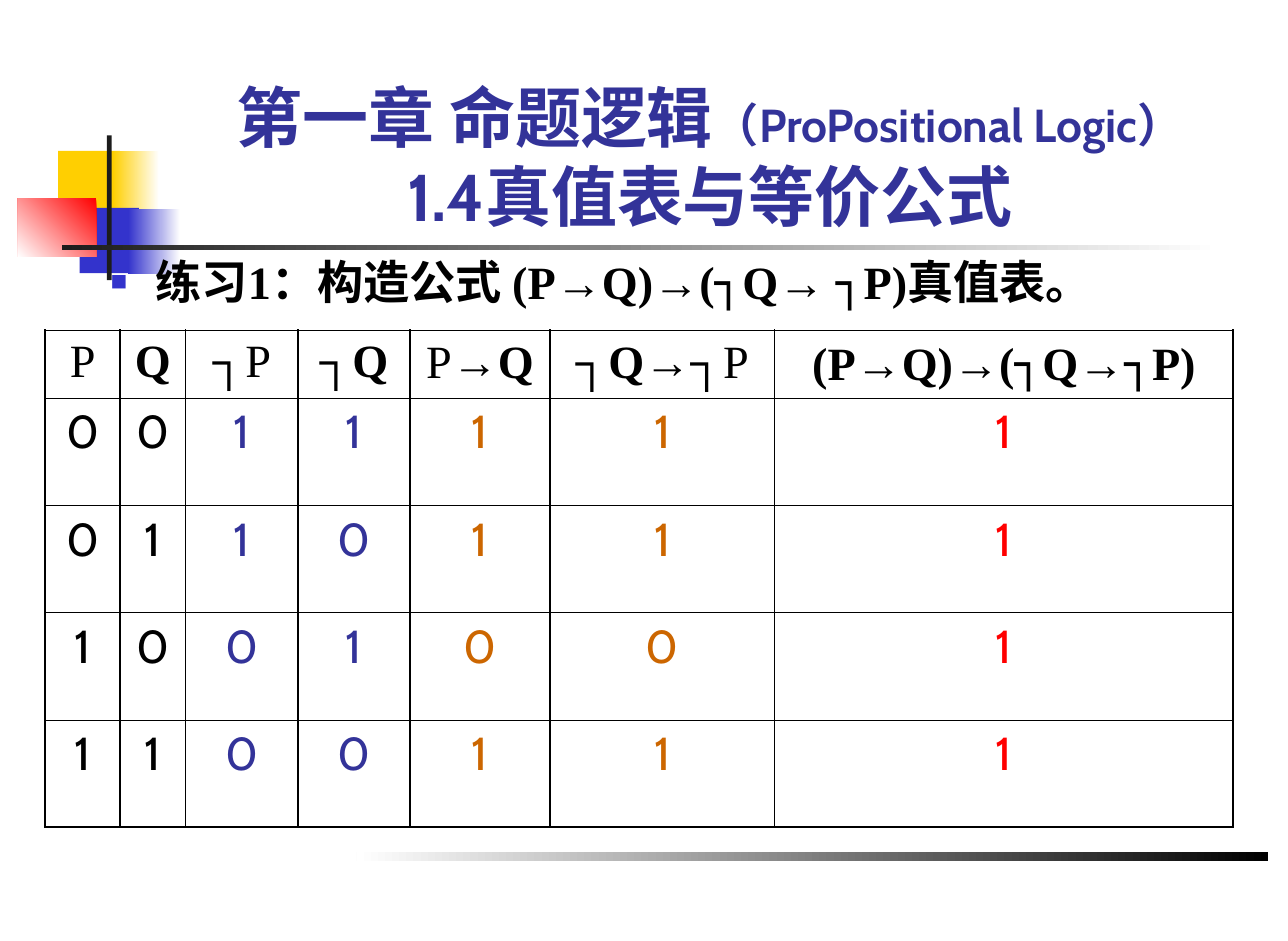
from itertools import groupby, product

from lxml import etree
from pptx import Presentation
from pptx import util as u
from pptx.dml.color import RGBColor
from pptx.enum import shapes, text
from pptx.oxml import ns

WIDTH, HEIGHT = u.Inches(10.84), u.Inches(7.92)
COLORS = {
    "white": "FFFFFF", "black": "000000", "ink": "1C1C1C", "yellow": "FFCF01",
    "blue": "3333CC", "red": "FF0000", "navy": "333399", "orange": "CC6600",
}
COLUMN_SHARES = [6.3, 5.5, 9.5, 9.4, 11.8, 18.9, 38.6]
ROW_SHARES = [13.64] + [21.59] * 4
COLUMN_COLORS = ["black"] * 2 + ["navy"] * 2 + ["orange"] * 2 + ["red"]
HEADINGS = ["P", "Q", "┐P", "┐Q", "P→Q", "┐Q→┐P", "(P→Q)→(┐Q→┐P)"]
ORNAMENTS = [
    ((4.52, 16.04, 4.8, 6.94), ["yellow"], 0),
    ((8.76, 16.04, 3.6, 6.94), ["white", "yellow"], 180),
    ((6.18, 22.1, 4.61, 6.94), ["blue"], 0),
    ((9.96, 22.22, 4.06, 6.94), ["white", "blue"], 180),
    ((1.38, 21.09, 6.09, 6.19), ["red", "white"], 225),
    ((8.3, 14.39, 0.37, 15.4), ["ink"], 0),
    ((4.8, 26.01, 89.94, 0.51), ["white", "ink"], 180),
    ((27.68, 90.53, 70.76, 1.01), ["black", "white"], 180),
]


def rgb(color):
    """Return the named colour."""
    return RGBColor.from_string(COLORS[color])


def frame(left, top, width, height):
    """Turn percentages of the slide into lengths."""
    return [round(share * side / 100) for share, side in
            zip((left, top, width, height), (WIDTH, HEIGHT) * 2)]


def apply(target, formats):
    """Set each format value on the target."""
    for name, value in formats.items():
        setattr(target, name, value)


def add_run(paragraph, words, size, color, name, bold):
    """Append one formatted run."""
    run = paragraph.add_run()
    run.text = words
    apply(run.font, {"size": u.Pt(size), "name": name, "bold": bold})
    run.font.color.rgb = rgb(color)


def add_formula(paragraph, formula, strong):
    """Write a formula whose symbols have their own fonts and weights."""
    symbol_fonts = {"→": "Arial", "┐": "Cabin" if strong else "Times New Roman"}

    def style(sign):
        """Return the font name and weight of a sign."""
        return symbol_fonts.get(sign, "Times New Roman"), strong or sign not in "P→"

    for (name, bold), signs in groupby(formula, style):
        add_run(paragraph, "".join(signs), 28, "black", name, bold)


def add_ornament(slide, place, colors, angle):
    """Draw a plain or graded block."""
    block = slide.shapes.add_shape(shapes.MSO_SHAPE.RECTANGLE, *frame(*place))
    block.shadow.inherit = False
    block.line.fill.background()
    if len(colors) == 1:
        block.fill.solid()
        block.fill.fore_color.rgb = rgb(colors[0])
        return
    block.fill.gradient()
    block.fill.gradient_angle = angle
    for stop, color in zip(block.fill.gradient_stops, colors):
        stop.color.rgb = rgb(color)


def open_placeholder(holder, place, anchor):
    """Move a placeholder to the front and return its first paragraph."""
    holder.element.getparent().append(holder.element)
    apply(holder, dict(zip(("left", "top", "width", "height"), frame(*place))))
    apply(holder.text_frame, {"vertical_anchor": anchor, "word_wrap": True,
                              "auto_size": text.MSO_AUTO_SIZE.NONE})
    paragraph = holder.text_frame.paragraphs[0]
    paragraph.space_before = u.Pt(0)
    return paragraph


def add_heading(slide):
    """Fill the title placeholder."""
    heading = open_placeholder(slide.shapes.title, (12.55, 8.96, 85.15, 16.67),
                               text.MSO_ANCHOR.BOTTOM)
    heading.alignment = text.PP_ALIGN.CENTER
    add_run(heading, "第一章 命题逻辑", 40, "navy", "Cabin", True)
    add_run(heading, "（ProPositional Logic）", 28, "navy", "Cabin", True)
    heading.add_line_break()
    add_run(heading, "1.4真值表与等价公式", 40, "navy", "Cabin", True)


def add_bullet(paragraph):
    """Give a paragraph a small square bullet with a hanging indent."""
    properties = paragraph._p.get_or_add_pPr()
    properties.set("marL", str(u.Inches(0.38)))
    properties.set("indent", str(-u.Inches(0.38)))
    tint = etree.SubElement(properties, ns.qn("a:buClr"))
    etree.SubElement(tint, ns.qn("a:srgbClr"), val=COLORS["blue"])
    etree.SubElement(properties, ns.qn("a:buSzPct"), val="60000")
    etree.SubElement(properties, ns.qn("a:buFont"), typeface="Arial")
    etree.SubElement(properties, ns.qn("a:buChar"), char="■")


def add_exercise(slide):
    """Fill the body placeholder with the exercise."""
    exercise = open_placeholder(slide.placeholders[1], (7.66, 26.26, 84.96, 59.97),
                                text.MSO_ANCHOR.TOP)
    add_bullet(exercise)
    add_formula(exercise, "练习1：构造公式 (P→Q)→(┐Q→ ┐P)真值表。", True)


def add_borders(cell, widths):
    """Outline a cell with black lines of the given widths."""
    properties = cell._tc.get_or_add_tcPr()
    for side, width in widths.items():
        line = etree.SubElement(properties, ns.qn(f"a:ln{side}"), w=str(u.Pt(width)))
        fill = etree.SubElement(line, ns.qn("a:solidFill"))
        etree.SubElement(fill, ns.qn("a:srgbClr"), val=COLORS["black"])


def truth_rows():
    """Work out the values below each heading."""
    for p, q in product((0, 1), repeat=2):
        implied, contrary = int(not p or q), int(q or not p)
        yield [p, q, 1 - p, 1 - q, implied, contrary, int(not implied or contrary)]


def add_truth_table(slide):
    """Build the truth table."""
    rows = [HEADINGS, *truth_rows()]
    left, top, width, height = frame(3.51, 35.1, 92.25, 52.78)
    table = slide.shapes.add_table(len(rows), len(HEADINGS),
                                   left, top, width, height).table
    apply(table, {"first_row": False, "horz_banding": False})
    for column, share in zip(table.columns, COLUMN_SHARES):
        column.width = round(width * share / 100)
    for row, share in zip(table.rows, ROW_SHARES):
        row.height = round(height * share / 100)
    last = len(rows) - 1
    for i, values in enumerate(rows):
        for j, value in enumerate(values):
            cell = table.cell(i, j)
            add_borders(cell, {"L": 1.08, "R": 1.08, "T": 0.45 if i else 1.08,
                               "B": 1.08 if i == last else 0.45})
            cell.fill.background()
            entry = cell.text_frame.paragraphs[0]
            entry.alignment = text.PP_ALIGN.CENTER
            if i:
                add_run(entry, str(value), 28, COLUMN_COLORS[j], "Cabin", False)
            else:
                add_formula(entry, value, value == HEADINGS[-1])


def main():
    """Build the slide and save it."""
    deck = Presentation()
    apply(deck, {"slide_width": WIDTH, "slide_height": HEIGHT})
    slide = deck.slides.add_slide(deck.slide_layouts[1])
    for ornament in ORNAMENTS:
        add_ornament(slide, *ornament)
    add_heading(slide)
    add_exercise(slide)
    add_truth_table(slide)
    deck.save("out.pptx")


if __name__ == "__main__":
    main()
